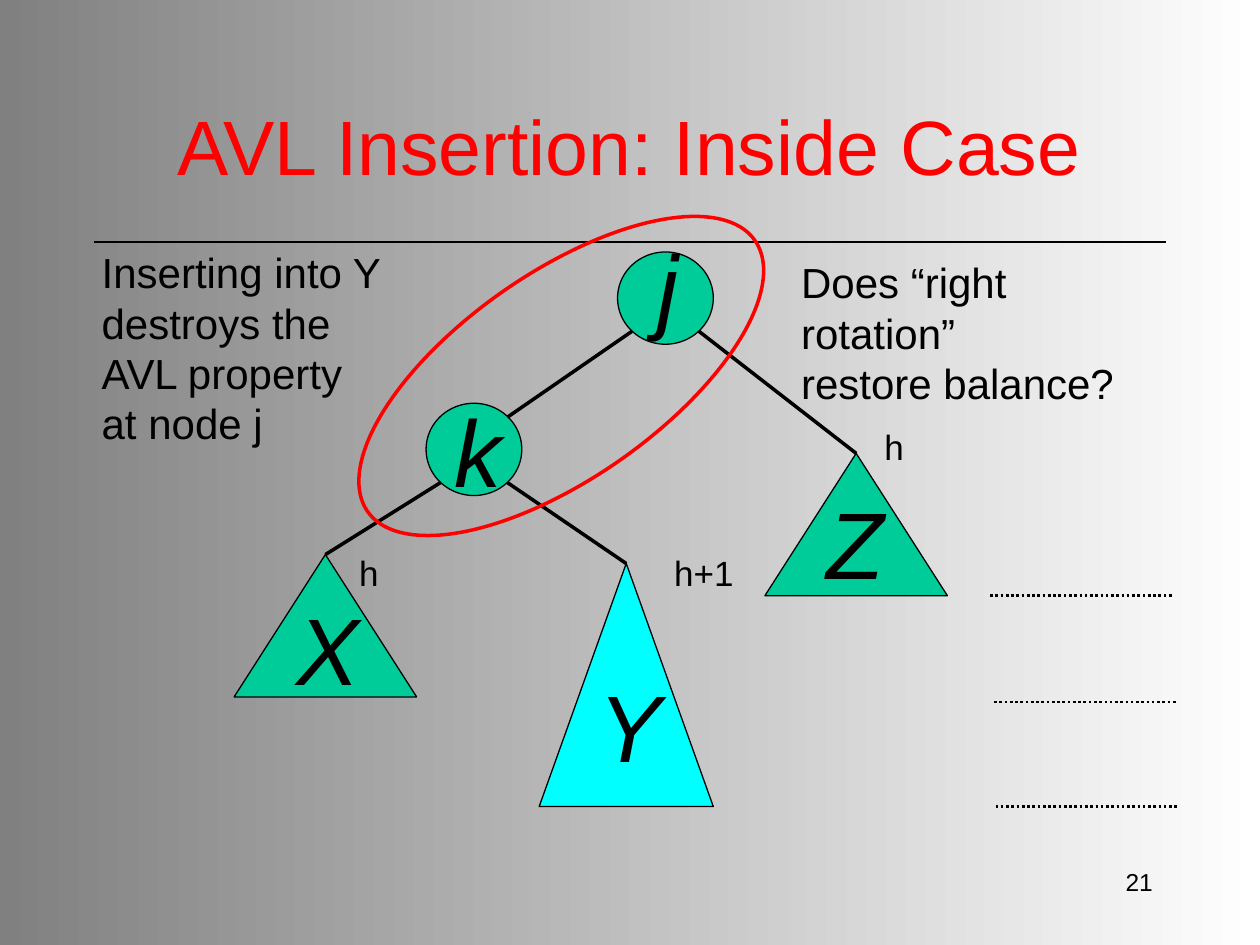
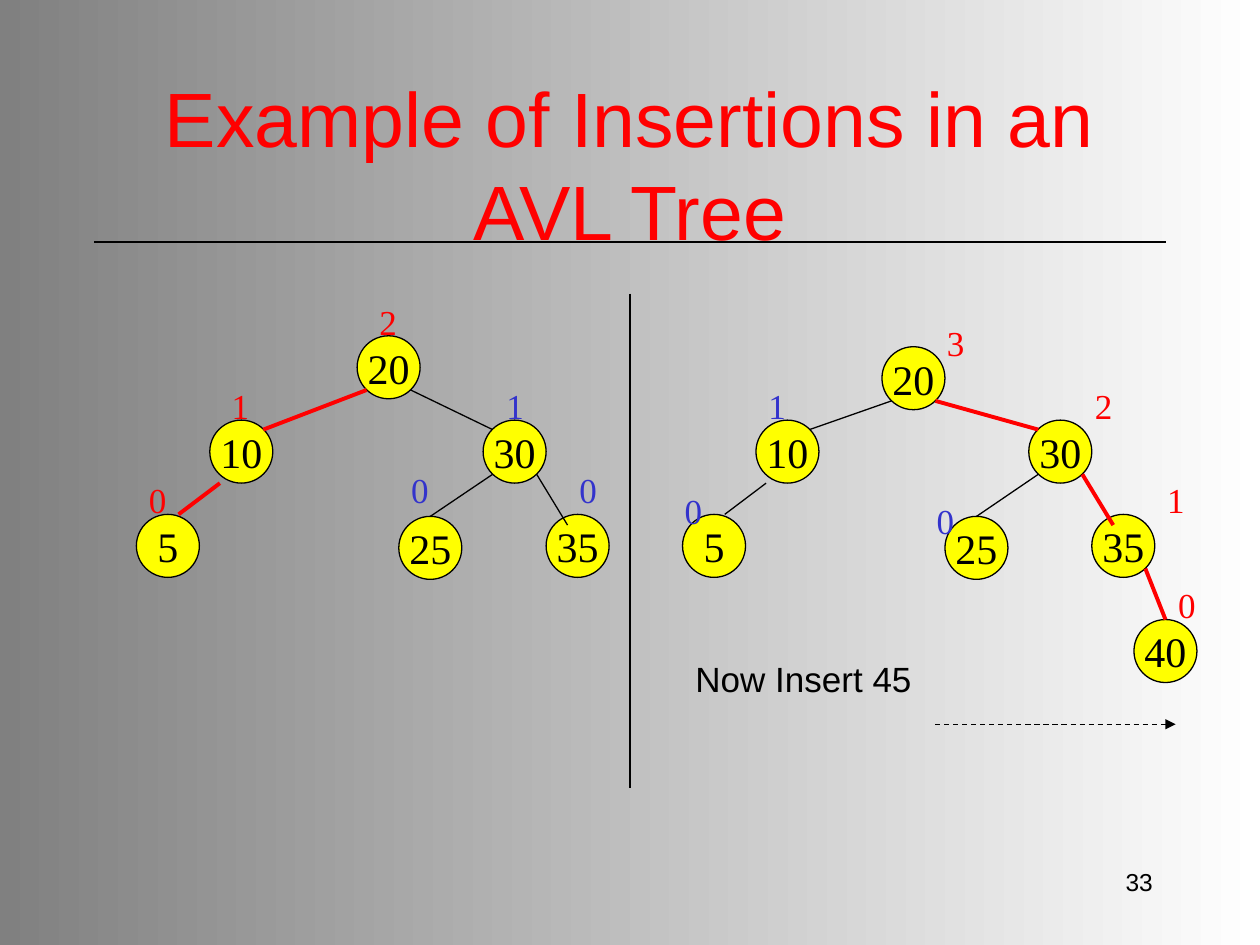
"""Builds two slides on insertion into AVL trees."""
from dataclasses import dataclass

from lxml import etree
from pptx import Presentation
from pptx.dml.color import RGBColor as Rgb
from pptx.enum.dml import MSO_LINE as Dash
from pptx.enum.shapes import MSO_CONNECTOR as Link, MSO_SHAPE as Shape
from pptx.enum.text import MSO_ANCHOR as Anchor, MSO_AUTO_SIZE as Fit, PP_ALIGN as Align
from pptx.oxml.ns import qn
from pptx.util import Cm, Pt


@dataclass(frozen=True)
class Theme:
    black: str = "000000"
    red: str = "FF0000"
    blue: str = "3333CC"
    green: str = "00CC99"
    cyan: str = "00FFFF"
    yellow: str = "FFFF00"
    backdrop: tuple = ("FFFFFF", "808080")
    sans: str = "Arial"
    serif: str = "Times New Roman"
    title: int = 44
    letter: int = 54
    body: int = 24
    label: int = 20
    number: int = 14
    thin: float = 0.75
    dotted: float = 1.5
    edge: float = 2
    hot_edge: float = 2.25


THEME = Theme()

LOWER_LEFT, LOWER_RIGHT = (0.15, 0.86), (0.85, 0.86)
UPPER_LEFT, UPPER_RIGHT, TOP = (0.15, 0.15), (0.85, 0.15), (0.5, 0)

RULE = ((1.9, 4.88), (23.5, 4.88))
NUMBER_AREA = (18.21, 17.35, 5.28, 1.27)

CASE_TITLE = ("AVL Insertion: Inside Case", "21", (1.85, 1.8, 21.69, 2.24))
CASE_NOTES = [
    (["Inserting into Y", "destroys the", "AVL property", "at node j"], (1.8, 4.85, 6.38, 4.32)),
    (["Does “right rotation”", "restore balance?"], (15.9, 5.05, 7.98, 2.29)),
]
CASE_PARTS = {
    "j": (Shape.OVAL, THEME.green, (12.45, 5.08, 1.93, 1.86), (13, 4.47)),
    "k": (Shape.OVAL, THEME.green, (8.59, 8.13, 1.93, 1.86), (8.92, 7.8)),
    "X": (Shape.ISOSCELES_TRIANGLE, THEME.green, (4.72, 11.18, 3.68, 2.87), (5.72, 11.79)),
    "Y": (Shape.ISOSCELES_TRIANGLE, THEME.cyan, (10.87, 11.36, 3.51, 4.9), (11.81, 13.34)),
    "Z": (Shape.ISOSCELES_TRIANGLE, THEME.green, (15.42, 9.14, 3.68, 2.87), (16.41, 9.65)),
}
CASE_EDGES = [
    ("j", LOWER_LEFT, "k", UPPER_RIGHT),
    ("k", LOWER_LEFT, "X", TOP),
    ("k", LOWER_RIGHT, "Y", TOP),
    ("j", LOWER_RIGHT, "Z", TOP),
]
CASE_HEIGHTS = [
    ("h", (6.99, 11, 0.89, 1.12)),
    ("h+1", (13.34, 11, 1.7, 1.12)),
    ("h", (17.58, 8.46, 0.91, 1.12)),
]
LETTER_SIZE = (1.17, 2.54)
LEVEL_MARKS = [(19.96, 12.01), (20.04, 14.15), (20.07, 16.26)]
MARK_LENGTH = 3.68
ROTATED_PAIR, PAIR_ANGLE = (6.55, 5.51, 9.53, 4.14), 325

EXAMPLE_TITLE = ("Example of Insertions in an AVL Tree", "33", (1.9, 1.7, 21.59, 3.18))
EXAMPLE_EDGES = [
    (20, LOWER_LEFT, 10, UPPER_RIGHT),
    (20, LOWER_RIGHT, 30, UPPER_LEFT),
    (30, LOWER_LEFT, 25, TOP),
    (30, LOWER_RIGHT, 35, (0.34, 0.17)),
    (10, (0.16, 1), 5, (0.67, 0)),
    (35, LOWER_RIGHT, 40, TOP),
]
EXAMPLE_TREES = [
    {
        20: ((7.2, 6.77), "2", (7.4, 5.93), True),
        10: ((4.23, 8.47), "1", (4.42, 7.62), True),
        30: ((9.74, 8.47), "1", (9.96, 7.62), False),
        25: ((8.04, 10.41), "0", (8.04, 9.31), False),
        35: ((11.01, 10.37), "0", (11.43, 9.31), False),
        5: ((2.75, 10.37), "0", (2.75, 9.53), True),
    },
    {
        20: ((17.78, 6.99), "3", (18.84, 6.35), True),
        10: ((15.24, 8.47), "1", (15.24, 7.62), False),
        30: ((20.74, 8.47), "2", (21.82, 7.62), True),
        25: ((19.05, 10.41), "0", (18.63, 9.95), False),
        35: ((22.01, 10.37), "1", (23.28, 9.53), True),
        5: ((13.76, 10.37), "0", (13.55, 9.74), False),
        40: ((22.86, 12.49), "0", (23.5, 11.64), True),
    },
]
NODE_SIZE, HEIGHT_SIZE = (1.27, 1.27), (0.86, 1.11)
NEXT_STEP = ("Now Insert 45", (13.77, 13.13, 4.88, 1.12))
DIVIDER = ((12.7, 5.92), (12.7, 15.88))
NEXT_ARROW = ((18.85, 14.6), (23.7, 14.6))


def cm(values):
    return [Cm(value) for value in values]


def write(frame, lines, size, color=THEME.black, font=THEME.sans, align=Align.LEFT, italic=False):
    frame.text = "\n".join(lines)
    for para in frame.paragraphs:
        para.alignment = align
        para.font.name, para.font.size = font, Pt(size)
        para.font.italic = italic
        para.font.color.rgb = Rgb.from_string(color)


def add_text(page, lines, area, size, **style):
    box = page.shapes.add_textbox(*cm(area))
    frame = box.text_frame
    frame.word_wrap = len(lines[0]) == 1
    frame.auto_size = Fit.SHAPE_TO_FIT_TEXT
    write(frame, lines, size, **style)


def add_figure(page, kind, area, fill=None, line=THEME.black, width=THEME.thin):
    figure = page.shapes.add_shape(kind, *cm(area))
    figure.shadow.inherit = False
    if fill:
        figure.fill.solid()
        figure.fill.fore_color.rgb = Rgb.from_string(fill)
    else:
        figure.fill.background()
    figure.line.color.rgb = Rgb.from_string(line)
    figure.line.width = Pt(width)
    return figure


def add_line(page, start, end, color=THEME.black, width=THEME.thin, dash=None):
    line = page.shapes.add_connector(Link.STRAIGHT, *start, *end)
    line.line.color.rgb = Rgb.from_string(color)
    line.line.width = Pt(width)
    if dash:
        line.line.dash_style = dash
    etree.SubElement(line._element.spPr, qn("a:effectLst"))
    return line


def spot(figure, share):
    return (int(figure.left + figure.width * share[0]), int(figure.top + figure.height * share[1]))


def join(page, parent, leave, child, arrive, **style):
    edge = add_line(page, spot(parent, leave), spot(child, arrive), **style)
    if arrive == TOP:
        edge.end_connect(child, 0)


def add_page(deck, title, number, area):
    page = deck.slides.add_slide(deck.slide_layouts[5])
    heading = page.shapes.title
    heading.left, heading.top, heading.width, heading.height = cm(area)
    frame = heading.text_frame
    frame.word_wrap, frame.auto_size, frame.vertical_anchor = True, Fit.NONE, Anchor.MIDDLE
    write(frame, [title], THEME.title, THEME.red, align=Align.CENTER)
    add_line(page, *map(cm, RULE))
    box = page.shapes.add_textbox(*cm(NUMBER_AREA))
    box.text_frame.word_wrap = True
    write(box.text_frame, [number], THEME.number, align=Align.RIGHT)
    return page


def build_case(deck):
    page = add_page(deck, *CASE_TITLE)
    figures = {name: add_figure(page, kind, area, fill)
               for name, (kind, fill, area, _) in CASE_PARTS.items()}
    for parent, leave, child, arrive in CASE_EDGES:
        join(page, figures[parent], leave, figures[child], arrive, width=THEME.edge)
    for name, (*_, corner) in CASE_PARTS.items():
        add_text(page, [name], corner + LETTER_SIZE, THEME.letter, italic=True)
    for left, top in LEVEL_MARKS:
        add_line(page, cm((left, top)), cm((left + MARK_LENGTH, top)),
                 width=THEME.dotted, dash=Dash.ROUND_DOT)
    for lines, area in CASE_NOTES:
        add_text(page, lines, area, THEME.body)
    add_figure(page, Shape.OVAL, ROTATED_PAIR, line=THEME.red, width=THEME.edge).rotation = PAIR_ANGLE
    for height, area in CASE_HEIGHTS:
        add_text(page, [height], area, THEME.label)


def add_tree(page, tree):
    nodes = {}
    for value, (corner, *_) in tree.items():
        nodes[value] = node = add_figure(page, Shape.OVAL, corner + NODE_SIZE, THEME.yellow)
        frame = node.text_frame
        frame.word_wrap, frame.vertical_anchor = False, Anchor.MIDDLE
        write(frame, [str(value)], THEME.body, font=THEME.serif, align=Align.CENTER)
    for parent, leave, child, arrive in EXAMPLE_EDGES:
        if child in tree:
            hot = tree[child][-1]
            join(page, nodes[parent], leave, nodes[child], arrive,
                 color=THEME.red if hot else THEME.black,
                 width=THEME.hot_edge if hot else THEME.thin)
    for _, height, corner, hot in tree.values():
        add_text(page, [height], corner + HEIGHT_SIZE, THEME.label,
                 color=THEME.red if hot else THEME.blue, font=THEME.serif)


def build_example(deck):
    page = add_page(deck, *EXAMPLE_TITLE)
    for tree in EXAMPLE_TREES:
        add_tree(page, tree)
    text, area = NEXT_STEP
    add_text(page, [text], area, THEME.label)
    add_line(page, *map(cm, DIVIDER))
    arrow = add_line(page, *map(cm, NEXT_ARROW), dash=Dash.DASH)
    etree.SubElement(arrow.line._get_or_add_ln(), qn("a:tailEnd"), type="triangle")


def main():
    deck = Presentation()
    deck.slide_width, deck.slide_height = Cm(25.4), Cm(19.05)
    backdrop = deck.slide_master.background.fill
    backdrop.gradient()
    backdrop.gradient_angle = 180
    for stop, color in zip(backdrop.gradient_stops, THEME.backdrop):
        stop.color.rgb = Rgb.from_string(color)
    build_case(deck)
    build_example(deck)
    deck.save("out.pptx")


if __name__ == "__main__":
    main()
